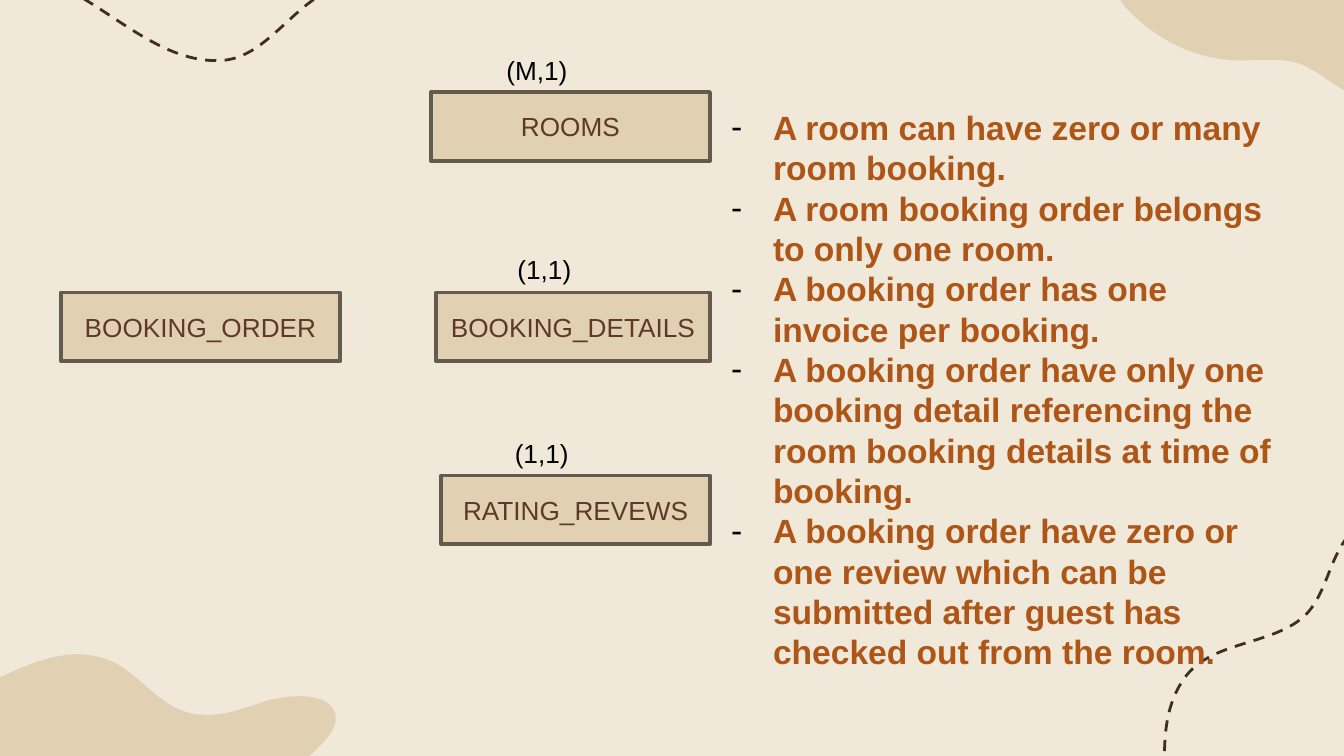
from math import cos, radians, sin

from lxml.etree import Element, SubElement
from pptx import Presentation
from pptx.dml.color import RGBColor
from pptx.enum.dml import MSO_LINE
from pptx.enum.shapes import MSO_SHAPE
from pptx.enum.text import MSO_ANCHOR, PP_ALIGN
from pptx.oxml.ns import qn
from pptx.util import Cm, Pt

THEME = {
    "background": RGBColor.from_string("F0E8D9"),
    "sand": RGBColor.from_string("E1D0B1"),
    "dash": RGBColor.from_string("422D25"),
    "border": RGBColor.from_string("635B4E"),
    "entity": {"name": "Arial", "size": Pt(14), "color": "5E392B"},
    "label": {"name": "Arial", "size": Pt(14), "color": "000000"},
    "rule": {"name": "Arial", "size": Pt(18), "color": "AE5618", "bold": True},
}

# Content: name, left, top, width in cm
ENTITY_HEIGHT = 1.3
ENTITIES = [
    ("BOOKING_ORDER", 1.15, 5.53, 5.28),
    ("ROOMS", 8.14, 1.74, 5.28),
    ("BOOKING_DETAILS", 8.24, 5.53, 5.18),
    ("RATING_REVEWS", 8.34, 8.99, 5.08),
]
# Cardinality, left, top, width in cm
CARDINALITIES = [
    ("(M,1)", 9.32, 0.9, 1.68),
    ("(1,1)", 9.53, 4.67, 1.52),
    ("(1,1)", 9.48, 8.15, 1.52),
]
RULES = [
    "A room can have zero or many room booking.",
    "A room booking order belongs to only one room.",
    "A booking order has one invoice per booking.",
    "A booking order have only one booking detail referencing the room "
    "booking details at time of booking.",
    "A booking order have zero or one review which can be submitted after "
    "guest has checked out from the room.",
]

# Decoration in inches: frame (left, top, width, height), turn in degrees, and
# nodes on the page: a start point, then cubic segments (two handles and an end)
CM_PER_INCH = 2.54
DASHED_CURVES = [
    ((8.35, 4.16, 2.39, 1.76), 90, [
        (10.43, 3.85),
        (10.28, 3.85), (10.11, 3.88), (10.03, 3.99),
        (9.89, 4.16), (9.87, 4.41), (9.72, 4.57),
        (9.48, 4.81), (9.01, 4.76), (8.81, 5.05),
        (8.58, 5.37), (8.69, 5.84), (8.69, 6.23)]),
    ((0.84, -1.06, 2.39, 1.76), 30, [
        (3.51, -0.35),
        (3.44, -0.23), (3.32, -0.09), (3.18, -0.08),
        (2.97, -0.05), (2.74, -0.15), (2.53, -0.1),
        (2.2, -0.01), (2, 0.42), (1.66, 0.45),
        (1.26, 0.48), (0.92, 0.16), (0.57, -0.04)]),
]
BLOBS = [
    ((-0.26, 3.79, 1.71, 3.85), 266.2, [
        (0.11, 4.99),
        (0.29, 4.91), (0.5, 4.84), (0.7, 4.88),
        (1.04, 4.94), (1.15, 5.3), (1.51, 5.32),
        (1.68, 5.33), (1.84, 5.26), (2, 5.21),
        (2.16, 5.17), (2.37, 5.16), (2.46, 5.25),
        (2.55, 5.34), (2.47, 5.47), (2.37, 5.56),
        (2.04, 5.89), (1.51, 6.11), (0.96, 6.17),
        (0.71, 6.19), (0.44, 6.19), (0.21, 6.27),
        (-0.08, 6.37), (-0.27, 6.58), (-0.58, 6.65),
        (-0.76, 6.68), (-0.95, 6.66), (-1.09, 6.59),
        (-1.52, 6.37), (-1.15, 5.97), (-0.92, 5.72),
        (-0.66, 5.43), (-0.31, 5.18), (0.11, 4.99)]),
    ((8.69, -1.05, 1.42, 2.2), 87.5, [
        (9.63, -0.6),
        (9.52, -0.65), (9.39, -0.69), (9.28, -0.64),
        (9.09, -0.56), (9.06, -0.26), (8.85, -0.21),
        (8.76, -0.19), (8.66, -0.23), (8.57, -0.26),
        (8.48, -0.28), (8.35, -0.28), (8.31, -0.19),
        (8.26, -0.11), (8.32, -0.01), (8.38, 0.06),
        (8.6, 0.3), (8.91, 0.45), (9.23, 0.45),
        (9.38, 0.45), (9.53, 0.43), (9.66, 0.47),
        (9.83, 0.53), (9.96, 0.69), (10.14, 0.72),
        (10.24, 0.74), (10.35, 0.7), (10.43, 0.63),
        (10.66, 0.42), (10.42, 0.11), (10.27, -0.08),
        (10.1, -0.29), (9.88, -0.47), (9.63, -0.6)]),
]


def turn_back(point, center, angle):
    """Undo a clockwise turn around the center."""
    across, down = point[0] - center[0], point[1] - center[1]
    c, s = cos(radians(angle)), sin(radians(angle))
    return center[0] + across * c + down * s, center[1] - across * s + down * c


def add_curve(page, frame, angle, nodes, closed):
    left, top, width, height = (Cm(value * CM_PER_INCH) for value in frame)
    center = (left + width / 2, top + height / 2)
    points = [turn_back((Cm(x * CM_PER_INCH), Cm(y * CM_PER_INCH)), center, angle)
              for x, y in nodes]
    builder = page.shapes.build_freeform(*points[0])
    builder.add_line_segments(points[1:], close=closed)
    shape = builder.convert_to_shape()
    shape.shadow.inherit = False

    # Every three straight steps become one cubic segment
    outline = next(shape._element.iter(qn("a:path")))
    lines = outline.findall(qn("a:lnTo"))
    for first in range(0, len(lines), 3):
        cubic = Element(qn("a:cubicBezTo"))
        lines[first].addprevious(cubic)
        for line in lines[first:first + 3]:
            cubic.append(line[0])
            outline.remove(line)

    # Measure the nodes from the frame, then turn the frame
    for node in outline.iter(qn("a:pt")):
        node.set("x", str(int(node.get("x")) + shape.left - left))
        node.set("y", str(int(node.get("y")) + shape.top - top))
    outline.set("w", str(width))
    outline.set("h", str(height))
    placement = {"left": left, "top": top, "width": width, "height": height,
                 "rotation": angle}
    for key, value in placement.items():
        setattr(shape, key, value)
    return shape


def add_span(para, text, style):
    span = para.add_run()
    span.text = text
    for key, value in style.items():
        if key == "color":
            span.font.color.rgb = RGBColor.from_string(value)
        else:
            setattr(span.font, key, value)


def add_dash_bullet(para):
    properties = para._p.get_or_add_pPr()
    properties.set("marL", str(Cm(0.79)))
    properties.set("indent", str(Cm(-0.79)))
    color = SubElement(properties, qn("a:buClr"))
    SubElement(color, qn("a:srgbClr"), val="000000")
    SubElement(properties, qn("a:buFont"), typeface="Arial")
    SubElement(properties, qn("a:buChar"), char="-")


deck = Presentation()
deck.slide_width, deck.slide_height = Cm(25.4), Cm(14.29)
page = deck.slides.add_slide(deck.slide_layouts[6])
page.background.fill.solid()
page.background.fill.fore_color.rgb = THEME["background"]

# Dashed curves and sand blobs in the corners
for frame, angle, nodes in DASHED_CURVES:
    curve = add_curve(page, frame, angle, nodes, closed=False)
    curve.fill.background()
    curve.line.color.rgb = THEME["dash"]
    curve.line.width = Pt(1.5)
    curve.line.dash_style = MSO_LINE.DASH
for frame, angle, nodes in BLOBS:
    blob = add_curve(page, frame, angle, nodes, closed=True)
    blob.fill.solid()
    blob.fill.fore_color.rgb = THEME["sand"]
    blob.line.fill.background()

# Entity boxes
for name, left, top, width in ENTITIES:
    box = page.shapes.add_shape(MSO_SHAPE.RECTANGLE, Cm(left), Cm(top),
                                Cm(width), Cm(ENTITY_HEIGHT))
    box.shadow.inherit = False
    box.fill.solid()
    box.fill.fore_color.rgb = THEME["sand"]
    box.line.color.rgb = THEME["border"]
    box.line.width = Pt(2)
    box.text_frame.vertical_anchor = MSO_ANCHOR.MIDDLE
    para = box.text_frame.paragraphs[0]
    para.alignment = PP_ALIGN.CENTER
    add_span(para, name, THEME["entity"])

# Cardinality labels
for text, left, top, width in CARDINALITIES:
    box = page.shapes.add_textbox(Cm(left), Cm(top), Cm(width), Cm(0.86))
    box.text_frame.word_wrap = False
    add_span(box.text_frame.paragraphs[0], text, THEME["label"])

# Business rules
box = page.shapes.add_textbox(Cm(13.57), Cm(1.9), Cm(10.8), Cm(11.02))
box.text_frame.word_wrap = True
for index, rule in enumerate(RULES):
    para = box.text_frame.paragraphs[0] if index == 0 else box.text_frame.add_paragraph()
    add_dash_bullet(para)
    para.line_spacing = Pt(21.6)
    add_span(para, rule, THEME["rule"])

deck.save("out.pptx")
